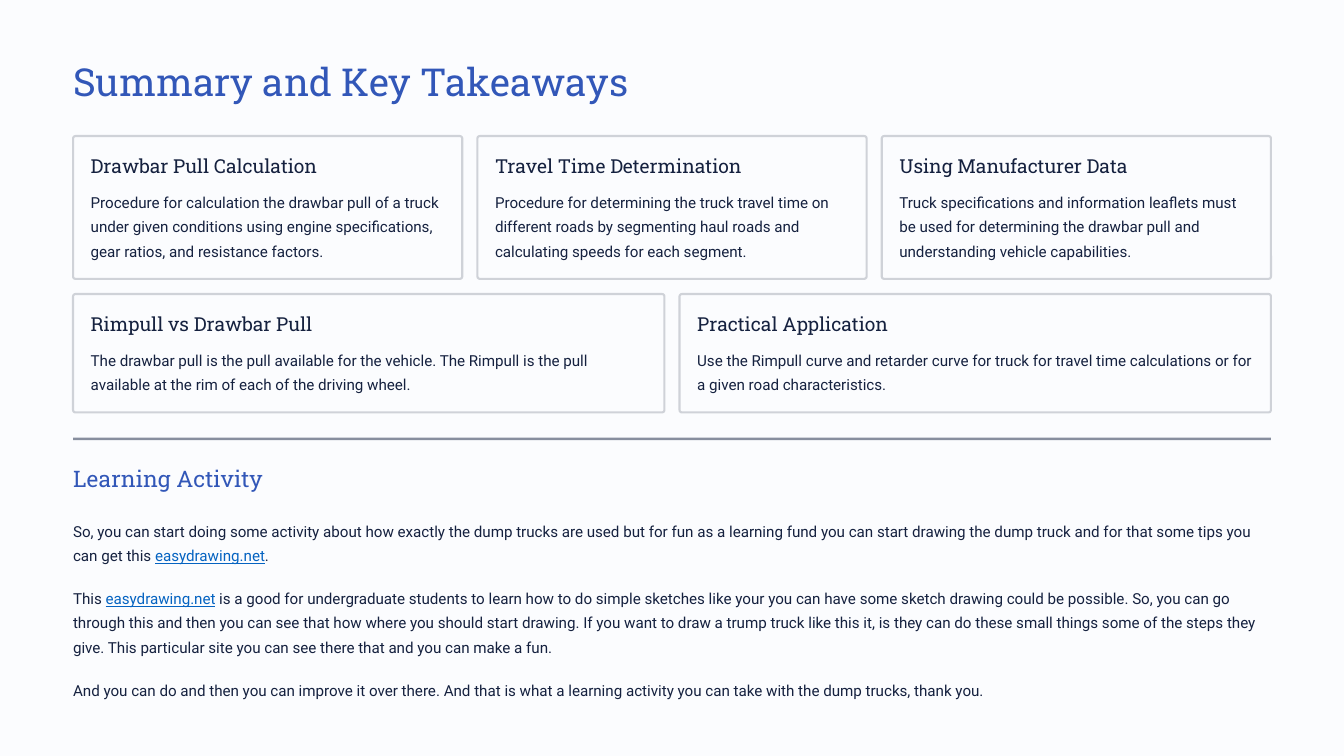
from lxml.etree import SubElement
from pptx import Presentation
from pptx.dml.color import RGBColor as Rgb
from pptx.enum.shapes import MSO_SHAPE as Preset
from pptx.oxml.ns import qn
from pptx.util import Inches, Pt

COLORS = {"paper": "FBFCFE", "ink": "15213F", "title": "3257B8",
          "border": "CFD2D8", "link": "0563C1"}
SITE = "easydrawing.net"
CARD_ROWS = [
    (16.2, 17, [
        ("Drawbar Pull Calculation", 27.2,
         "Procedure for calculation the drawbar pull of a truck under given conditions "
         "using engine specifications, gear ratios, and resistance factors."),
        ("Travel Time Determination", 29.5,
         "Procedure for determining the truck travel time on different roads by "
         "segmenting haul roads and calculating speeds for each segment."),
        ("Using Manufacturer Data", 27.4,
         "Truck specifications and information leaflets must be used for determining "
         "the drawbar pull and understanding vehicle capabilities."),
    ]),
    (35, 14.1, [
        ("Rimpull vs Drawbar Pull", 26.6,
         "The drawbar pull is the pull available for the vehicle. The Rimpull is the "
         "pull available at the rim of each of the driving wheel."),
        ("Practical Application", 23.1,
         "Use the Rimpull curve and retarder curve for truck for travel time "
         "calculations or for a given road characteristics."),
    ]),
]
ACTIVITY = [
    (2, "So, you can start doing some activity about how exactly the dump trucks are used "
        "but for fun as a learning fund you can start drawing the dump truck and for that "
        "some tips you can get this easydrawing.net."),
    (3, "This easydrawing.net is a good for undergraduate students to learn how to do simple "
        "sketches like your you can have some sketch drawing could be possible. So, you can "
        "go through this and then you can see that how where you should start drawing. If you "
        "want to draw a trump truck like this it, is they can do these small things some of "
        "the steps they give. This particular site you can see there that and you can make "
        "a fun."),
    (1, "And you can do and then you can improve it over there. And that is what a learning "
        "activity you can take with the dump trucks, thank you."),
]


def color(name):
    """Return the named colour of the palette."""
    return Rgb.from_string(COLORS[name])


def write(para, text, size=13, font="Roboto", ink="ink", leading=21):
    """Fill a paragraph, underlining the site address wherever it occurs."""
    para.line_spacing = Pt(leading)
    before, site, after = text.partition(SITE)
    for part in filter(None, (before, site, after)):
        span = para.add_run()
        span.text = part
        span.font.name = font
        span.font.size = Pt(size)
        span.font.color.rgb = color("link" if part == SITE else ink)
        if part == SITE:
            span.font.underline = True


class Page:
    """Draw on one slide, on a grid of 160 columns by 90 rows."""

    margin, width, gap, inset = 8.7, 142.6, 1.8, 2.1
    line_height, para_gap = 2.95, 2.1

    def __init__(self, deck):
        """Add a blank slide with the paper colour behind it."""
        self.column, self.row = deck.slide_width / 160, deck.slide_height / 90
        self.slide = deck.slides.add_slide(deck.slide_layouts[6])
        fill = self.slide.background.fill
        fill.solid()
        fill.fore_color.rgb = color("paper")

    def place(self, left, top, width, height):
        """Turn grid units into slide lengths."""
        return (round(left * self.column), round(top * self.row),
                round(width * self.column), round(height * self.row))

    def text(self, left, top, width, height, text, wrap=True, **style):
        """Add a text box without insets."""
        frame = self.slide.shapes.add_textbox(*self.place(left, top, width, height)).text_frame
        frame.margin_left = frame.margin_right = frame.margin_top = frame.margin_bottom = 0
        frame.word_wrap = wrap
        write(frame.paragraphs[0], text, **style)

    def heading(self, left, top, width, height, text, **style):
        """Add a one-line heading in the slab font."""
        self.text(left, top, width, height, text, wrap=False, font="Roboto Slab", **style)

    def shape(self, preset, left, top, width, height, fill):
        """Add a flat filled shape without an outline."""
        shape = self.slide.shapes.add_shape(preset, *self.place(left, top, width, height))
        shape.shadow.inherit = False
        shape.fill.solid()
        shape.fill.fore_color.rgb = color(fill)
        shape.line.fill.background()
        return shape

    def card(self, left, top, width, height, title, title_width, body):
        """Add an outlined card with a heading and a body text."""
        box = self.shape(Preset.ROUNDED_RECTANGLE, left, top, width, height, "paper")
        box.adjustments[0] = 0.28 / height
        box.line.color.rgb = color("border")
        box.line.width = Pt(1.8)
        left, inner = left + self.inset, width - 2 * self.inset
        self.heading(left, top + self.inset, title_width, 2.9, title, size=16.5, leading=20.5)
        self.text(left, top + 6.05, inner, height - 6.05 - self.inset, body)

    def card_row(self, top, height, cards):
        """Share the content width equally among the cards."""
        width = (self.width - self.gap * (len(cards) - 1)) / len(cards)
        for index, card in enumerate(cards):
            self.card(self.margin + index * (width + self.gap), top, width, height, *card)

    def divider(self, top):
        """Add a half-transparent rule across the content width."""
        rule = self.shape(Preset.RECTANGLE, self.margin, top, self.width, 0.3, "ink")
        tint = rule.fill._xPr.find(".//" + qn("a:srgbClr"))
        SubElement(tint, qn("a:alpha"), val="50000")

    def paragraphs(self, top, entries):
        """Stack text blocks with an equal gap."""
        for lines, text in entries:
            height = lines * self.line_height
            self.text(self.margin, top, self.width, height, text, wrap=lines > 1)
            top += height + self.para_gap


def main():
    """Build and save the slide."""
    deck = Presentation()
    deck.slide_width, deck.slide_height = Inches(16), Inches(9)
    page = Page(deck)
    page.heading(page.margin, 6.7, 66.3, 5.8, "Summary and Key Takeaways",
                 size=33, leading=41.5, ink="title")
    for card_row in CARD_ROWS:
        page.card_row(*card_row)
    page.divider(52.1)
    page.heading(page.margin, 55.2, 27.7, 3.5, "Learning Activity",
                 size=19.5, leading=24.5, ink="title")
    page.paragraphs(61.4, ACTIVITY)
    deck.save("out.pptx")


if __name__ == "__main__":
    main()
